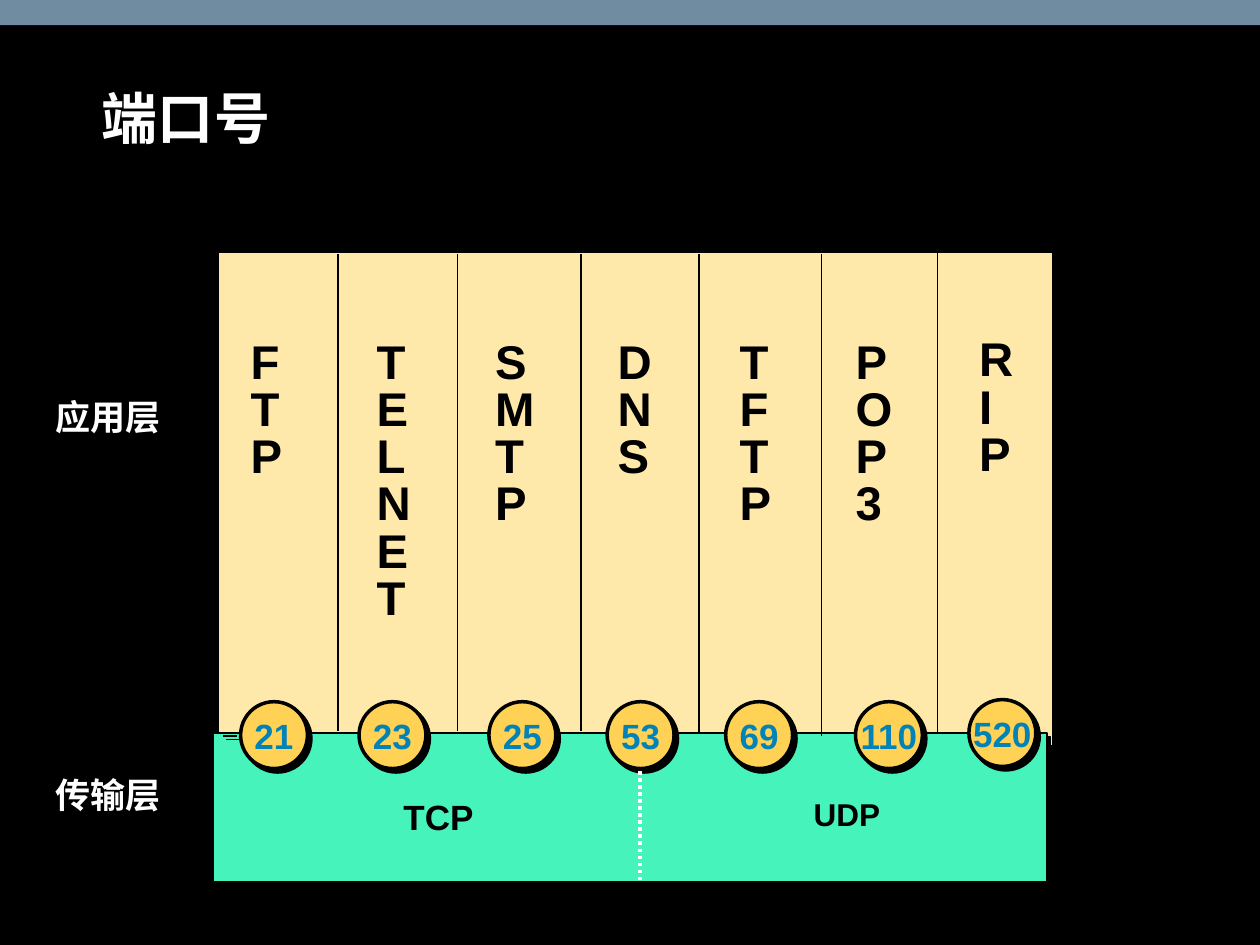
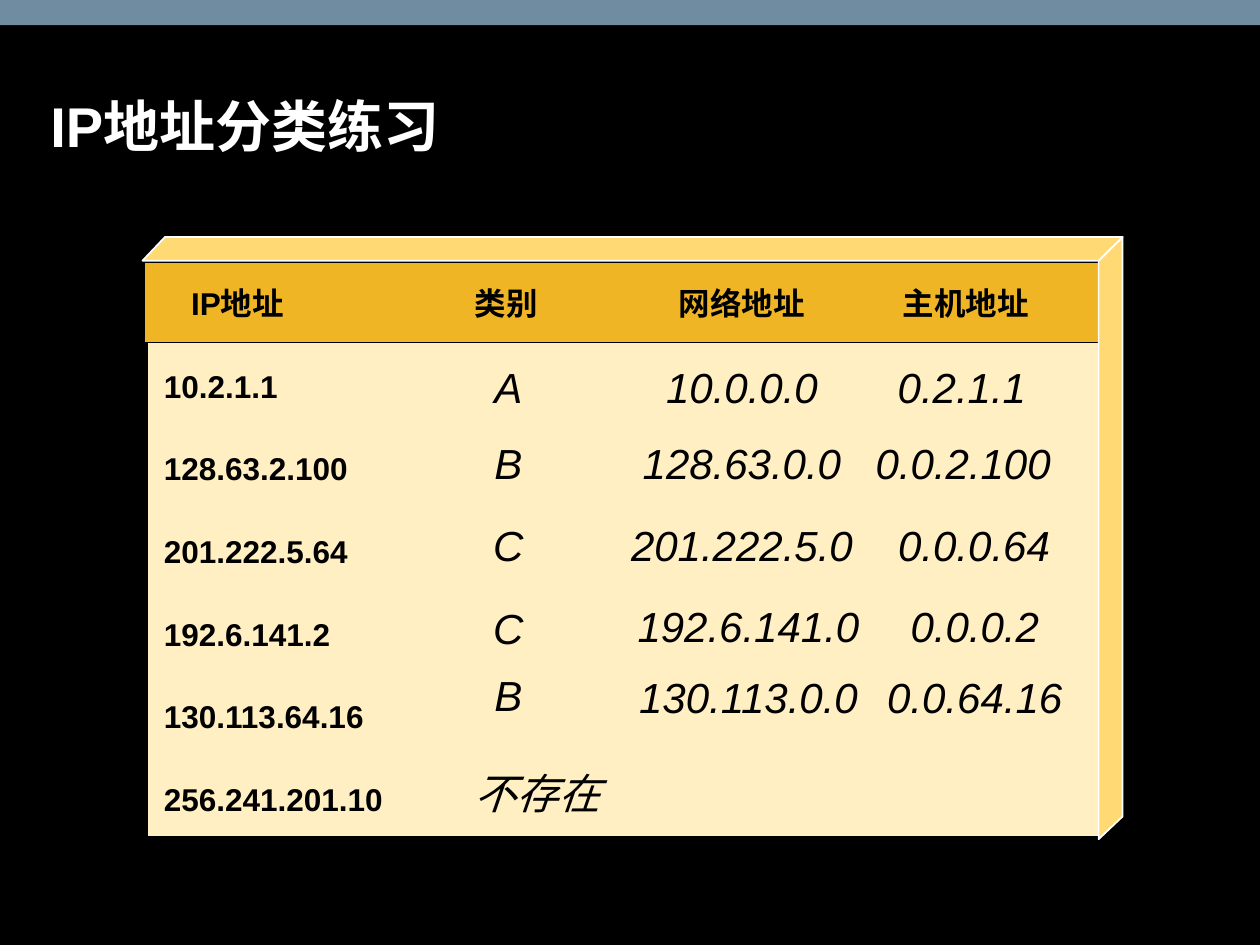
from lxml.etree import SubElement
from pptx import Presentation
from pptx.dml.color import RGBColor
from pptx.enum.dml import MSO_LINE
from pptx.enum.shapes import MSO_CONNECTOR, MSO_SHAPE
from pptx.enum.text import MSO_ANCHOR, PP_ALIGN
from pptx.oxml.ns import qn
from pptx.util import Pt

BLACK = RGBColor(0x00, 0x00, 0x00)
WHITE = RGBColor(0xFF, 0xFF, 0xFF)
SLATE = RGBColor(0x70, 0x8C, 0xA1)
SAND = RGBColor(0xFF, 0xE9, 0xAA)
MINT = RGBColor(0x45, 0xF3, 0xBB)
YELLOW = RGBColor(0xFF, 0xD2, 0x55)
BLUE = RGBColor(0x01, 0x83, 0xB7)
CREAM = RGBColor(0xFF, 0xEF, 0xC2)
GOLD = RGBColor(0xEF, 0xB5, 0x25)
BEVEL = RGBColor(0xFF, 0xDA, 0x74)

FONT = "Arial"
TIGHT = (1.5, 2, 1.5, 2)
NORMAL = (6.5, 3.25, 6.5, 3.25)
ROOMY = (8, 4.5, 8, 4.5)

PORTS = [
    ("FTP", "21", 141.8, 137.5),
    ("TELNET", "23", 213.8, 205.2),
    ("SMTP", "25", 281.5, 279.4),
    ("DNS", "53", 351.4, 347),
    ("TFTP", "69", 421.2, 414.7),
    ("POP3", "110", 487.4, 488.9),
    ("RIP", "520", 558, 553.7),
]
DIVIDERS = [(193, 417.6), (261.4, 417.6), (331.9, 417.6), (399.6, 419), (469.4, 420.5)]

HEADINGS = [
    ("IP地址", 78.5, 114.5),
    ("类别", 224.6, 129.6),
    ("网络地址", 365.8, 116),
    ("主机地址", 483.8, 136),
]
ADDRESSES = ["10.2.1.1", "128.63.2.100", "201.222.5.64",
             "192.6.141.2", "130.113.64.16", "256.241.201.10"]
ANSWERS = [
    ("A", 206.6, "10.0.0.0", 424, "0.2.1.1", 549.7, 206.6),
    ("B", 249.8, "128.63.0.0", 424, "0.0.2.100", 550.4, 249.8),
    ("C", 296.6, "201.222.5.0", 424, "0.0.0.64", 556.6, 296.6),
    ("C", 344.2, "192.6.141.0", 427.7, "0.0.0.2", 557, 343.4),
    ("B", 382.3, "130.113.0.0", 427.7, "0.0.64.16", 557, 383.8),
]


class SlideBuilder:
    """Hold the deck style and draw elements on the current slide."""

    def __init__(self):
        """Open an empty 10 by 7.5 inch deck."""
        self.deck = Presentation()
        self.deck.slide_width, self.deck.slide_height = Pt(720), Pt(540)
        self.page = None

    def start(self, title, left, top, width, height):
        """Add a slide with the background, top band and title."""
        self.page = self.deck.slides.add_slide(self.deck.slide_layouts[6])
        background = self.page.background.fill
        background.solid()
        background.fore_color.rgb = BLACK
        self.shape(0, 0, 720, 14.4, SLATE)
        self.text(title, left, top, width, height, 32, WHITE, spacing=0.9,
                  margins=NORMAL, anchor=MSO_ANCHOR.BOTTOM)

    def paint(self, shape, fill, line=None, weight=1, shadow=False):
        """Set the fill, outline and shadow of a shape."""
        shape.fill.solid()
        shape.fill.fore_color.rgb = fill
        if line is None:
            shape.line.fill.background()
        else:
            shape.line.color.rgb = line
            shape.line.width = Pt(weight)
        shape.shadow.inherit = False
        if shadow:
            self.cast_shadow(shape._element.spPr.find(qn("a:effectLst")))

    def cast_shadow(self, effects):
        """Add a hard black shadow to an effect list."""
        outer = SubElement(effects, qn("a:outerShdw"), dist=str(Pt(2.8)),
                           dir="2700000", algn="ctr", rotWithShape="0")
        SubElement(outer, qn("a:srgbClr"), val=str(BLACK))

    def shape(self, left, top, width, height, fill, line=None, weight=1,
              shadow=False, kind=MSO_SHAPE.RECTANGLE):
        """Draw a preset shape."""
        shape = self.page.shapes.add_shape(kind, Pt(left), Pt(top), Pt(width), Pt(height))
        self.paint(shape, fill, line, weight, shadow)
        return shape

    def outline(self, points, fill, line):
        """Draw a closed polygon through the points."""
        corners = [(Pt(x), Pt(y)) for x, y in points]
        builder = self.page.shapes.build_freeform(*corners[0])
        builder.add_line_segments(corners[1:], close=True)
        self.paint(builder.convert_to_shape(), fill, line)

    def line(self, start, end, color=BLACK, weight=1, dash=None, shadow=False):
        """Draw a straight line between two points."""
        connector = self.page.shapes.add_connector(
            MSO_CONNECTOR.STRAIGHT, Pt(start[0]), Pt(start[1]), Pt(end[0]), Pt(end[1]))
        connector.line.color.rgb = color
        connector.line.width = Pt(weight)
        if dash is not None:
            connector.line.dash_style = dash
        effects = SubElement(connector._element.spPr, qn("a:effectLst"))
        if shadow:
            self.cast_shadow(effects)

    def fill_text(self, shape, text, size, color=BLACK, spacing=1.0, align=PP_ALIGN.LEFT,
                  margins=TIGHT, anchor=MSO_ANCHOR.TOP, wrap=True, italic=False):
        """Put one styled paragraph into a shape."""
        frame = shape.text_frame
        frame.word_wrap = wrap
        frame.vertical_anchor = anchor
        (frame.margin_left, frame.margin_top,
         frame.margin_right, frame.margin_bottom) = map(Pt, margins)
        paragraph = frame.paragraphs[0]
        paragraph.text = text
        paragraph.alignment = align
        paragraph.line_spacing = spacing
        font = paragraph.font
        font.name, font.size = FONT, Pt(size)
        font.bold, font.italic = not italic, italic
        font.color.rgb = color

    def text(self, text, left, top, width, height, size, color=BLACK, **style):
        """Add a text box."""
        box = self.page.shapes.add_textbox(Pt(left), Pt(top), Pt(width), Pt(height))
        self.fill_text(box, text, size, color, **style)

    def layer_name(self, text, left, top, width, size=20, color=WHITE):
        """Add a centred layer or protocol name."""
        self.text(text, left, top, width, 33, size, color,
                  spacing=Pt(size * 1.18), align=PP_ALIGN.CENTER)

    def port(self, number, left, top):
        """Draw a port number in a circle."""
        circle = self.shape(left, top, 38.2, 38.2, YELLOW, BLACK, 2, True, MSO_SHAPE.OVAL)
        self.fill_text(circle, number, 20, BLUE, align=PP_ALIGN.CENTER, margins=ROOMY,
                       anchor=MSO_ANCHOR.MIDDLE, wrap=False)

    def answer(self, text, center, top, width=None):
        """Draw an italic answer cell, sized to its text by default."""
        width = width or 13.4 * len(text) - 6.6
        cell = self.shape(center - width / 2, top, width, 32.4, CREAM)
        self.fill_text(cell, text, 24, spacing=0.9, align=PP_ALIGN.CENTER, margins=NORMAL,
                       anchor=MSO_ANCHOR.MIDDLE, wrap=False, italic=True)


def build_ports(builder):
    """Build the port number diagram."""
    builder.start("端口号", 51.8, 23.8, 641.5, 66.2)
    builder.shape(124.6, 144, 411.8, 278, SAND, BLACK, shadow=True)
    builder.shape(535.7, 144, 66.2, 282.2, SAND, BLACK, shadow=True)
    builder.shape(121.7, 419, 476.6, 85, MINT, BLACK, shadow=True)
    for x, bottom in DIVIDERS:
        builder.line((x, 145.4), (x, bottom))
    builder.line((127.4, 420.5), (135.4, 420.5), weight=0.75, shadow=True)
    for name, number, name_left, circle_left in PORTS:
        rise = 1.2 if name == "RIP" else 0
        builder.text("\v".join(name), name_left, 193 - rise, 41, 27 * len(name) + 16, 27,
                     spacing=Pt(27))
        builder.port(number, circle_left, 401 - rise)
    builder.line((365.8, 440.6), (365.8, 504.7), WHITE, 2, MSO_LINE.ROUND_DOT)
    builder.layer_name("应用层", -5.8, 224.6, 135.4)
    builder.layer_name("传输层", -5.8, 440.6, 135.4)
    builder.layer_name("TCP", 150.5, 452.9, 200.2, color=BLACK)
    builder.layer_name("UDP", 445, 452.9, 77.8, 18, BLACK)


def build_exercise(builder):
    """Build the address classification exercise."""
    builder.start("IP地址分类练习", 22.3, 4.3, 626.4, 90)
    builder.shape(84.2, 155.5, 545.8, 322.6, CREAM, BLACK)
    builder.shape(82.1, 149.8, 545.8, 46, GOLD, BLACK)
    builder.outline([(641.5, 135.4), (627.8, 149), (627.8, 479.5), (641.5, 466.6)], BEVEL, WHITE)
    builder.outline([(81.4, 149), (94.3, 135.4), (641.5, 135.4), (627.8, 149)], BEVEL, WHITE)
    for text, left, width in HEADINGS:
        builder.text(text, left, 159.1, width, 28.8, 18, spacing=0.95,
                     align=PP_ALIGN.CENTER, margins=ROOMY)
    for row, address in enumerate(ADDRESSES):
        builder.text(address, 85.7, 206.6 + 47.23 * row, 151.2, 28.8, 18,
                     spacing=0.95, margins=ROOMY)
    for group, group_top, network, network_center, host, host_center, top in ANSWERS:
        builder.answer(group, 290.5, group_top, 29.5)
        builder.answer(network, network_center, top)
        builder.answer(host, host_center, top)
    builder.answer("不存在", 307.1, 438.5, 85.7)


def main():
    """Build and save the deck."""
    builder = SlideBuilder()
    build_ports(builder)
    build_exercise(builder)
    builder.deck.save("out.pptx")


if __name__ == "__main__":
    main()
